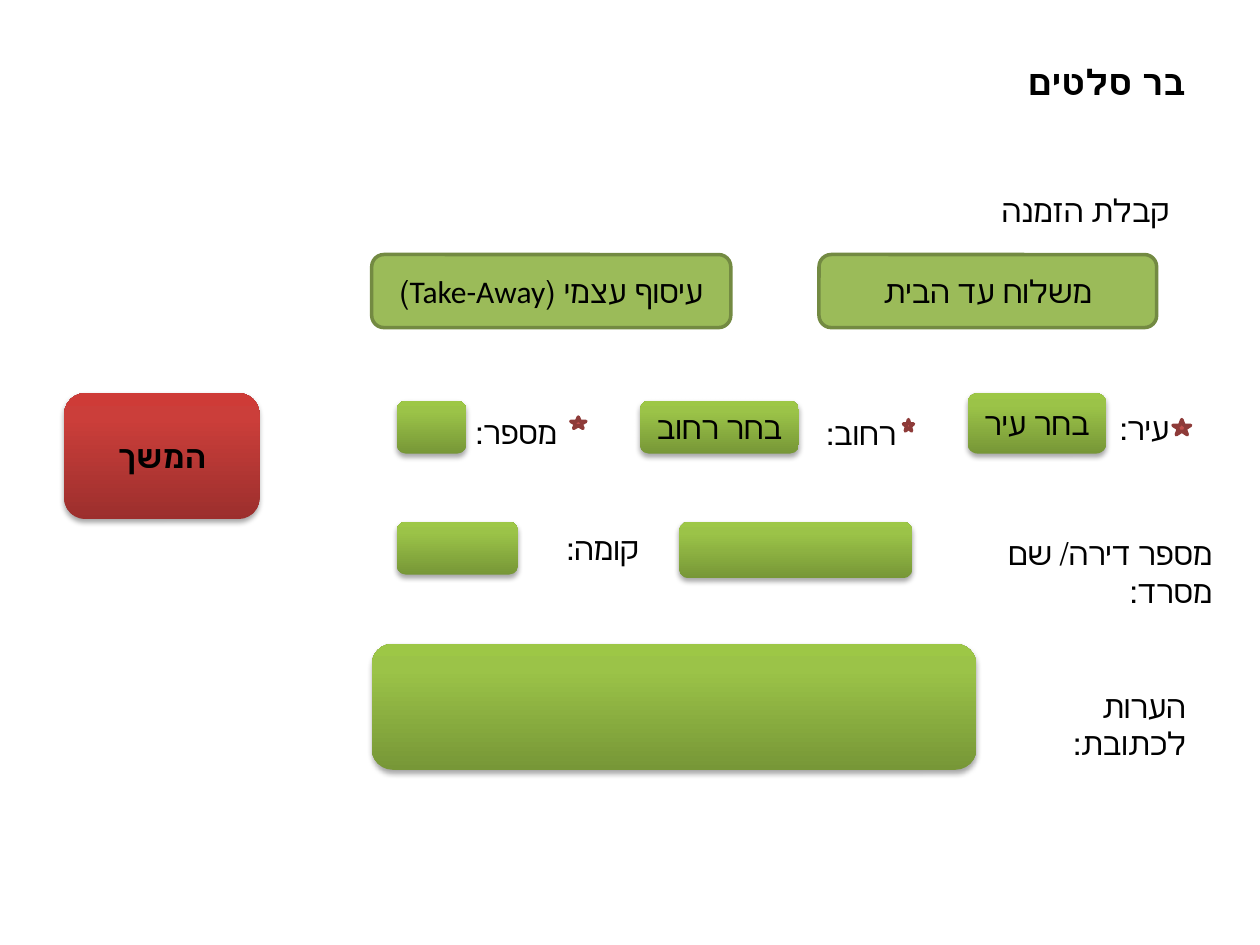
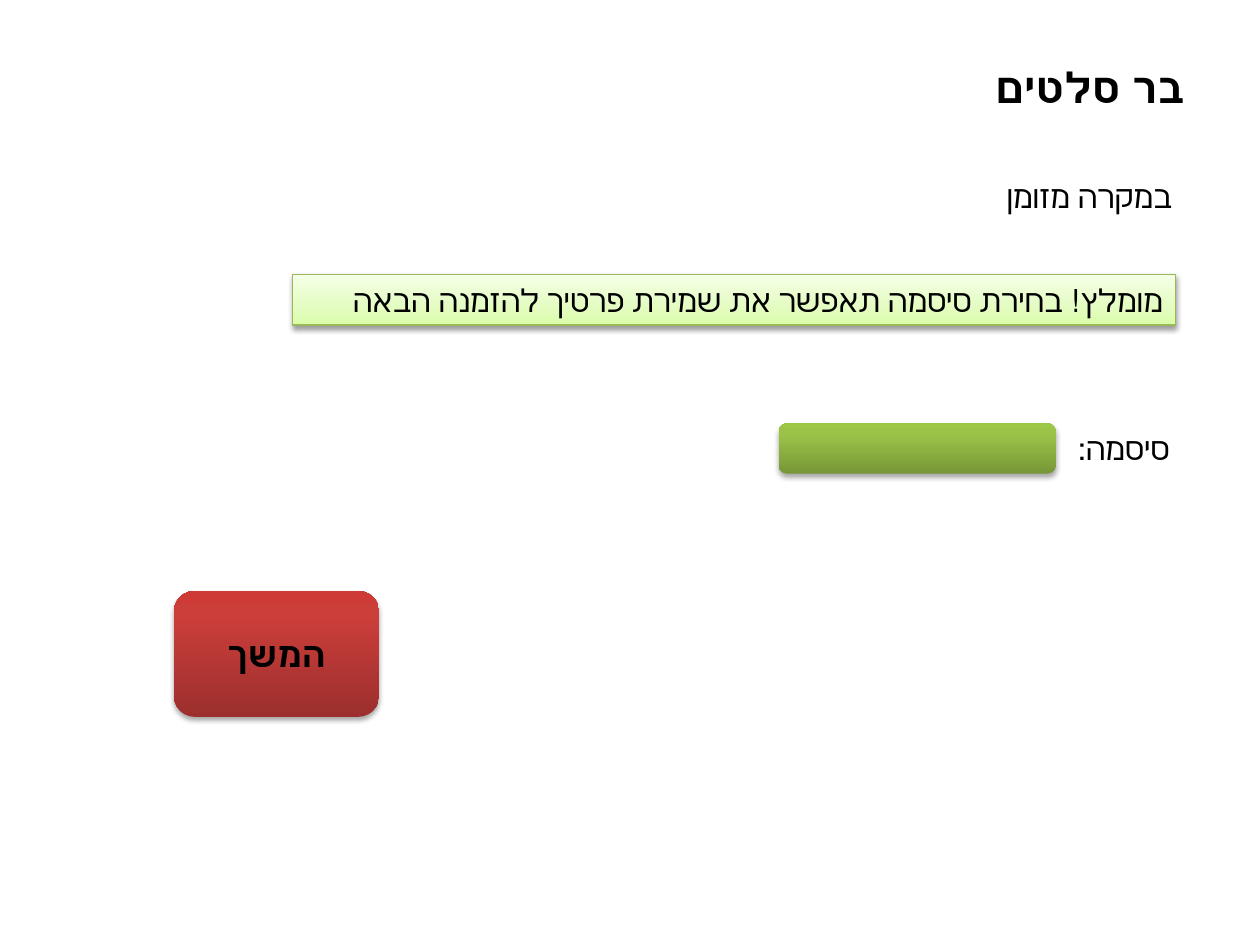
from dataclasses import dataclass

from lxml.etree import SubElement
from pptx import Presentation
from pptx.dml.color import RGBColor
from pptx.enum.shapes import MSO_SHAPE
from pptx.enum.text import MSO_ANCHOR, MSO_AUTO_SIZE, PP_ALIGN
from pptx.oxml.ns import qn
from pptx.util import Inches, Pt


@dataclass(frozen=True)
class Theme:
    font: str = "Calibri"
    text: str = "000000"
    body_size: int = 18
    large_size: int = 20
    title_size: int = 24
    # Each style: gradient stops from bottom to top (or one flat colour), outline, outline width, shadow opacity
    field: tuple = (((0, "779737"), (80, "9BC348"), (100, "9DC746")), None, 0, 35)
    action: tuple = (((0, "9C2F2D"), (80, "CB3E3A"), (100, "CE3B37")), None, 0, 35)
    notice: tuple = (((0, "DAFDA7"), (35, "E4FCC2"), (100, "F5FFE7")), "98B955", 0.75, 38)
    option: tuple = (((0, "9BBB59"),), "738A42", 2, 0)
    star: tuple = (((0, "C0504D"),), "8E3B39", 2, 0)


theme = Theme()
deck = Presentation()
deck.slide_width, deck.slide_height = Inches(10), Inches(7.5)

# The grid has 100 columns and 75 rows
COLUMN = deck.slide_width / 100
ROW = deck.slide_height / 75
LABEL_HEIGHT = 4
TITLE_ONLY = 5


def write(box, text, size=theme.body_size, align=PP_ALIGN.RIGHT, bold=False):
    """Fill a box with one right-to-left paragraph."""
    frame = box.text_frame
    frame.word_wrap = True
    frame.text = text
    para = frame.paragraphs[0]
    para.alignment = align
    para._p.get_or_add_pPr().set("rtl", "1")
    span = para.runs[0]
    span.font.name = theme.font
    span.font.size = Pt(size)
    span.font.bold = bold
    span.font.color.rgb = RGBColor.from_string(theme.text)


def add_box(slide, kind, cell, style):
    """Draw a styled shape at (left, top, width, height) grid units."""
    left, top, width, height = cell
    stops, outline, outline_width, opacity = style
    box = slide.shapes.add_shape(kind, int(left * COLUMN), int(top * ROW),
                                 int(width * COLUMN), int(height * ROW))
    box.text_frame.vertical_anchor = MSO_ANCHOR.MIDDLE
    if len(stops) == 1:
        box.fill.solid()
        box.fill.fore_color.rgb = RGBColor.from_string(stops[0][1])
    else:
        box.fill.gradient()
        box.fill.gradient_angle = 90
        stop_list = box.element.spPr.find(".//" + qn("a:gsLst"))
        for old_stop in list(stop_list):
            stop_list.remove(old_stop)
        for position, color in stops:
            stop = SubElement(stop_list, qn("a:gs"), pos=str(position * 1000))
            SubElement(stop, qn("a:srgbClr"), val=color)
    if outline:
        box.line.color.rgb = RGBColor.from_string(outline)
        box.line.width = Pt(outline_width)
    else:
        box.line.fill.background()
    box.shadow.inherit = False
    if opacity:
        effects = box.element.spPr.find(qn("a:effectLst"))
        shadow = SubElement(effects, qn("a:outerShdw"), blurRad=str(Pt(3.1)),
                            dist=str(Pt(1.8)), dir="5400000", rotWithShape="0")
        color = SubElement(shadow, qn("a:srgbClr"), val="000000")
        SubElement(color, qn("a:alpha"), val=str(opacity * 1000))
    return box


# Content: title, labels, fields, options, stars and the continue button
address_page = {
    "title": ("בר סלטים", (5.1, 2.1, 90, 8.7), theme.large_size),
    "labels": [
        ("קבלת הזמנה", 77.6, 14.7, 16.2),
        ("עיר:", 85.7, 32, 8.1),
        ("רחוב:", 64.2, 32.4, 7.9),
        ("מספר:", 35.8, 32.3, 9.4),
        ("קומה:", 43.8, 41.5, 7.9),
        ("מספר דירה/ שם מסרד:", 72.4, 41.9, 24.8),
        ("הערות לכתובת:", 77.6, 54, 17.5),
    ],
    "options": [
        ("משלוח עד הבית", (65, 20.2, 26.8, 5.8)),
        ("עיסוף עצמי (Take-Away)", (29.5, 20.2, 28.5, 5.8)),
    ],
    "fields": [
        ("בחר עיר", (76.8, 31.2, 11, 4.8)),
        ("בחר רחוב", (50.8, 31.8, 12.6, 4.2)),
        ("", (31.5, 31.8, 5.5, 4.2)),
        ("", (31.5, 41.4, 9.6, 4.2)),
        ("", (53.9, 41.4, 18.5, 4.5)),
        ("", (29.5, 51.1, 48, 10)),
    ],
    "stars": [(93.1, 33.3, 1.4, 1.2), (71.7, 33.3, 0.8, 0.9), (45.3, 33.1, 1.2, 0.9)],
    "action": ((5.1, 31.2, 15.5, 10), theme.body_size),
}
password_page = {
    "title": ("בר סלטים", (5, 3, 90, 7.7), theme.title_size),
    "labels": [("במקרה מזומן", 72, 13.6, 22), ("סיסמה:", 83.9, 33.6, 9.9)],
    "notices": [("מומלץ! בחירת סיסמה תאפשר את שמירת פרטיך להזמנה הבאה",
                 (23.2, 21.8, 70.1, LABEL_HEIGHT))],
    "fields": [("", (61.8, 33.6, 22, LABEL_HEIGHT))],
    "action": ((13.8, 46.9, 16.3, 10), theme.large_size),
}

for page in (address_page, password_page):
    slide = deck.slides.add_slide(deck.slide_layouts[TITLE_ONLY])

    # Title
    text, (left, top, width, height), size = page["title"]
    title = slide.shapes.title
    title.left, title.width = int(left * COLUMN), int(width * COLUMN)
    title.top, title.height = int(top * ROW), int(height * ROW)
    title.text_frame.vertical_anchor = MSO_ANCHOR.MIDDLE
    write(title, text, size, bold=True)

    # Labels
    for text, left, top, width in page["labels"]:
        label = slide.shapes.add_textbox(int(left * COLUMN), int(top * ROW),
                                         int(width * COLUMN), int(LABEL_HEIGHT * ROW))
        write(label, text)
        label.text_frame.auto_size = MSO_AUTO_SIZE.SHAPE_TO_FIT_TEXT

    # Notice banner
    for text, cell in page.get("notices", []):
        notice = add_box(slide, MSO_SHAPE.RECTANGLE, cell, theme.notice)
        write(notice, text)
        notice.text_frame.vertical_anchor = MSO_ANCHOR.TOP
        notice.text_frame.auto_size = MSO_AUTO_SIZE.SHAPE_TO_FIT_TEXT

    # Delivery options and input fields
    for group, style in (("options", theme.option), ("fields", theme.field)):
        for text, cell in page.get(group, []):
            box = add_box(slide, MSO_SHAPE.ROUNDED_RECTANGLE, cell, style)
            if text:
                write(box, text, align=PP_ALIGN.CENTER)

    # Stars beside required fields
    for cell in page.get("stars", []):
        add_box(slide, MSO_SHAPE.STAR_5_POINT, cell, theme.star)

    # Continue button
    cell, size = page["action"]
    button = add_box(slide, MSO_SHAPE.ROUNDED_RECTANGLE, cell, theme.action)
    write(button, "המשך", size, PP_ALIGN.CENTER, bold=True)

deck.save("out.pptx")
